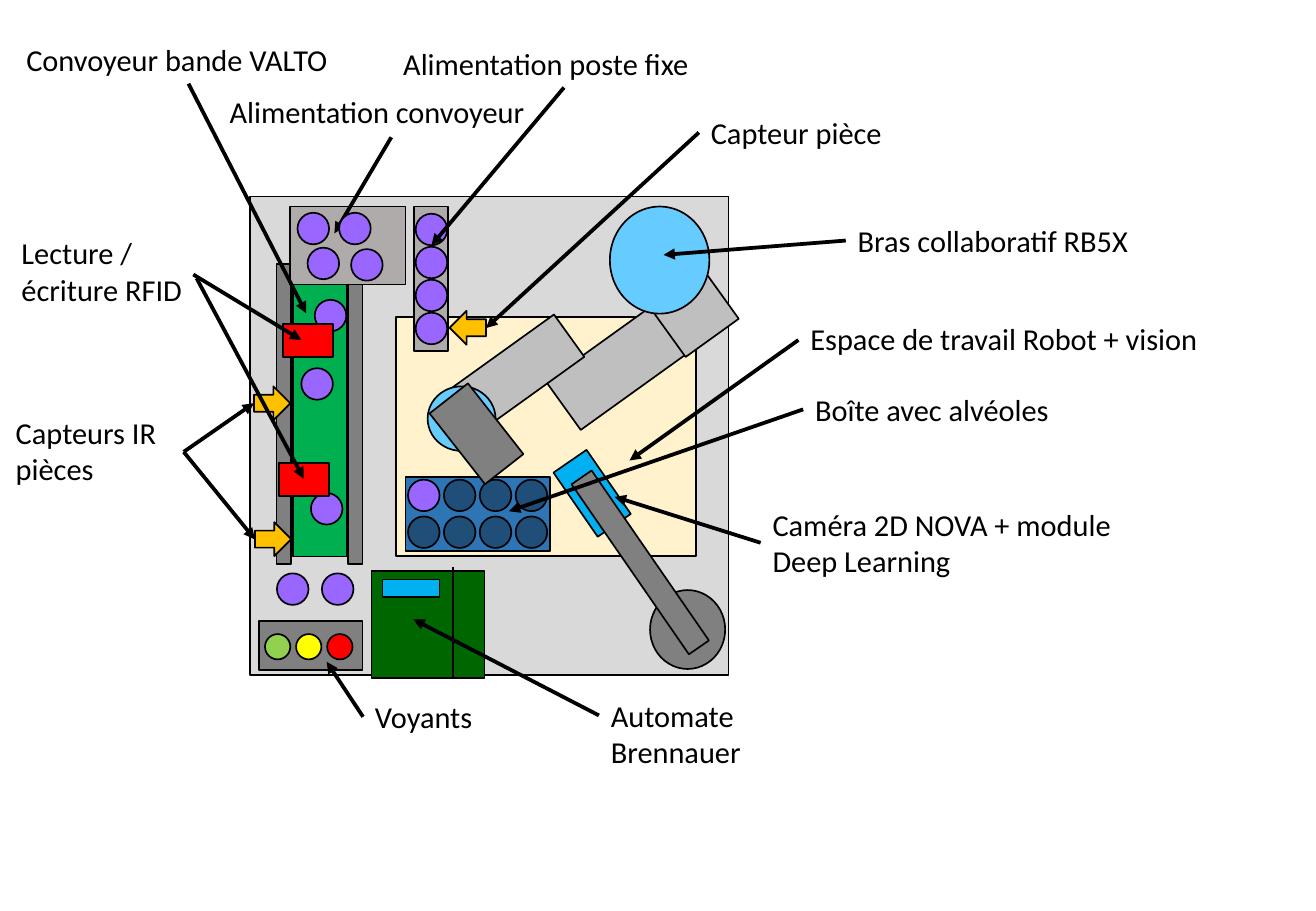
from lxml import etree
from pptx import Presentation
from pptx.dml.color import RGBColor
from pptx.enum.shapes import MSO_CONNECTOR, MSO_SHAPE
from pptx.oxml.ns import qn
from pptx.util import Cm, Pt

RECT = MSO_SHAPE.RECTANGLE
OVAL = MSO_SHAPE.OVAL
RIGHT = MSO_SHAPE.RIGHT_ARROW
LEFT = MSO_SHAPE.LEFT_ARROW
STRAIGHT = MSO_CONNECTOR.STRAIGHT
BLACK, PURPLE, NAVY = "000000", "9966FF", "1F4E79"
GREY, SILVER, TAUPE = "808080", "BFBFBF", "AFABAB"
RED, ORANGE, SKY, CYAN = "FF0000", "FFC000", "66CCFF", "00B0F0"
PART = 0.66
LAMP = 0.53

deck = Presentation()
deck.slide_width, deck.slide_height = Cm(27.51), Cm(19.05)
page = deck.slides.add_slide(deck.slide_layouts[6])


def add_solid(kind, color, left, top, width, height, rotation=0):
    solid = page.shapes.add_shape(kind, Cm(left), Cm(top), Cm(width), Cm(height))
    solid.rotation = rotation
    solid.shadow.inherit = False
    solid.fill.solid()
    solid.fill.fore_color.rgb = RGBColor.from_string(color)
    solid.line.color.rgb = RGBColor.from_string(BLACK)
    solid.line.width = Pt(1)


def add_line(start_x, start_y, end_x, end_y, weight=2.25, arrow=True):
    line = page.shapes.add_connector(STRAIGHT, Cm(start_x), Cm(start_y), Cm(end_x), Cm(end_y))
    line.line.color.rgb = RGBColor.from_string(BLACK)
    line.line.width = Pt(weight)
    if arrow:
        etree.SubElement(line.line._get_or_add_ln(), qn("a:tailEnd"), type="triangle")
    etree.SubElement(line._element.spPr, qn("a:effectLst"))


station = [
    (RECT, "D9D9D9", 5.23, 4.11, 10, 10),
    (OVAL, GREY, 13.59, 12.34, 1.57, 1.65),
    (RECT, "00B050", 6.12, 5.72, 1.14, 5.92),
    (RECT, GREY, 5.78, 5.52, 0.3, 6.27),
    (RECT, GREY, 7.28, 5.52, 0.3, 6.27),
    (RECT, "FFF2CC", 8.28, 6.63, 6.27, 5),
    (RECT, "006600", 7.77, 11.94, 2.36, 2.24),
    (RECT, CYAN, 11.96, 9.5, 0.84, 1.63, 325.4),
    (RECT, GREY, 13.13, 9.6, 0.51, 4.32, 325.4),
    (RECT, SILVER, 12.27, 6.32, 1.24, 2.74, 54.3),
    (RECT, SILVER, 13.44, 5.64, 1.83, 1.37, 54.3),
    (OVAL, SKY, 12.75, 4.32, 2.08, 2.24),
    (RECT, SILVER, 10.24, 6.45, 1.09, 2.74, 54.3),
    (OVAL, SKY, 8.94, 8.08, 1.42, 1.35),
    (RIGHT, ORANGE, 5.33, 10.92, 0.76, 0.71),
    (RIGHT, ORANGE, 5.31, 8.08, 0.76, 0.71),
    (RECT, TAUPE, 6.07, 4.32, 2.41, 1.63),
    (RECT, TAUPE, 8.66, 4.32, 0.71, 3.02),
    (LEFT, ORANGE, 9.4, 6.5, 0.76, 0.71),
    (RECT, "2E75B6", 8.48, 9.98, 3.02, 1.55),
    (RECT, GREY, 5.42, 12.99, 2.16, 1.02),
    (RECT, CYAN, 8, 12.12, 1.19, 0.36),
]
for item in station:
    add_solid(*item)

add_line(9.47, 11.86, 9.47, 14.17, 1.5, False)
add_line(8.18, 2.87, 6.99, 4.88)

feeder_parts = [(6.22, 4.45), (7.09, 4.45), (6.43, 5.18), (7.34, 5.21)]
belt_parts = [(6.58, 6.27), (6.3, 7.7), (6.5, 10.31)]
exit_parts = [(5.79, 11.99), (6.73, 11.99)]
magazine_parts = [(8.69, 4.47 + 0.69 * row) for row in range(4)]
for left, top in feeder_parts + belt_parts + exit_parts + magazine_parts:
    add_solid(OVAL, PURPLE, left, top, PART, PART)

for row in range(2):
    for column in range(4):
        color = PURPLE if row == column == 0 else NAVY
        add_solid(OVAL, color, 8.53 + 0.75 * column, 10.03 + 0.77 * row, PART, PART)

for index, color in enumerate(["92D050", "FFFF00", RED]):
    add_solid(OVAL, color, 5.54 + 0.65 * index, 13.26, LAMP, LAMP)

for left, top in [(5.92, 6.78), (5.84, 9.68)]:
    add_solid(RECT, RED, left, top, 1.04, 0.69)

add_solid(RECT, GREY, 9.45, 8.13, 1.02, 1.88, 141.9)

pointers = [
    (17.68, 5.03, 13.87, 5.33),
    (15.9, 11.35, 12.85, 10.39),
    (16.69, 7.11, 13.16, 9.63),
    (3.94, 1.75, 6.4, 6.55),
    (3.84, 9.45, 5.33, 11.28),
    (3.84, 9.45, 5.31, 8.43),
    (12.52, 14.96, 8.64, 12.95),
    (4.04, 5.74, 6.3, 7.11),
    (4.11, 5.82, 6.35, 10.01),
    (11.79, 1.83, 9.02, 5.13),
    (14.61, 2.77, 10.16, 6.86),
    (16.79, 8.56, 10.64, 10.69),
    (7.59, 14.99, 6.83, 13.84),
]
for pointer in pointers:
    add_line(*pointer)

labels = [
    ("Convoyeur bande VALTO", 0.3, 0.74, 7.26, 1.02),
    ("Alimentation convoyeur", 4.55, 1.83, 7.26, 1.02),
    ("Alimentation poste fixe", 8.18, 0.81, 7.26, 1.02),
    ("Capteur pièce", 14.61, 2.26, 4.14, 1.02),
    ("Bras collaboratif RB5X", 17.68, 4.52, 6.27, 1.02),
    ("Espace de travail Robot + vision", 16.69, 6.58, 8.71, 1.02),
    ("Boîte avec alvéoles", 16.79, 8.05, 5.46, 1.02),
    ("Caméra 2D NOVA + module Deep Learning", 15.9, 10.46, 7.92, 1.8),
    ("Automate Brennauer", 12.52, 14.45, 5.84, 1.02),
    ("Voyants", 7.59, 14.48, 2.7, 1.02),
    ("Lecture / écriture RFID", 0.2, 4.78, 4.39, 1.8),
    ("Capteurs IR\npièces", 0.08, 8.53, 3.73, 1.8),
]
for text, left, top, width, height in labels:
    box = page.shapes.add_textbox(Cm(left), Cm(top), Cm(width), Cm(height))
    box.text_frame.word_wrap = True
    box.text_frame.text = text
    for para in box.text_frame.paragraphs:
        para.font.name = "Calibri"
        para.font.size = Pt(18)
        para.font.color.rgb = RGBColor.from_string(BLACK)

deck.save("out.pptx")
